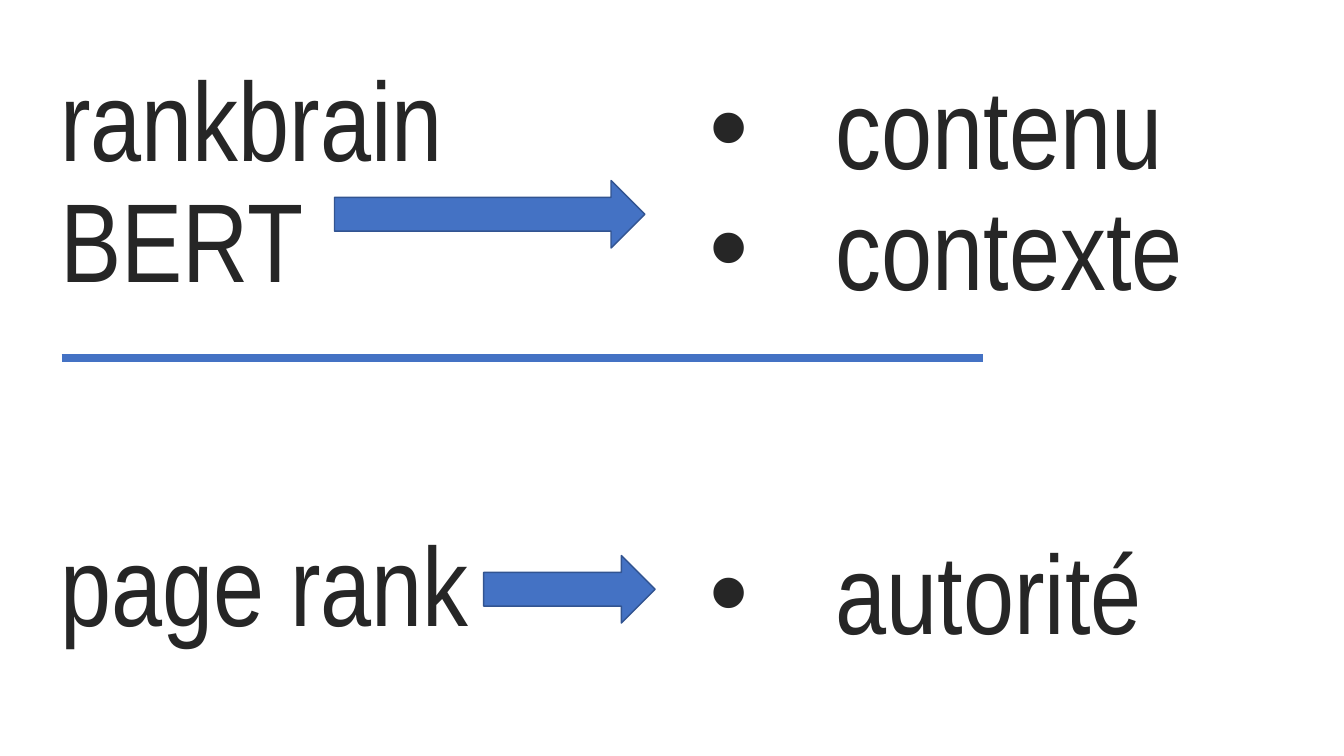
import dataclasses

import lxml.etree
import pptx
import pptx.dml.color
import pptx.enum.shapes
import pptx.enum.text
import pptx.oxml.ns
import pptx.util

Cm = pptx.util.Cm
Pt = pptx.util.Pt
qn = pptx.oxml.ns.qn


@dataclasses.dataclass(frozen=True)
class Theme:
    font: str = "Arial Narrow"
    text_size: int = 80
    text: pptx.dml.color.RGBColor = pptx.dml.color.RGBColor(0x26, 0x26, 0x26)
    accent: pptx.dml.color.RGBColor = pptx.dml.color.RGBColor(0x44, 0x72, 0xC4)
    outline: pptx.dml.color.RGBColor = pptx.dml.color.RGBColor(0x32, 0x54, 0x91)


theme = Theme()
presentation = pptx.Presentation()
presentation.slide_width = Cm(33.87)
presentation.slide_height = Cm(19.05)
slide = presentation.slides.add_slide(presentation.slide_layouts[6])


def add_text(text, left, top, width, height=2.95, bulleted=False):
    """Add a vertically centred text box, one paragraph per line of text."""
    box = slide.shapes.add_textbox(Cm(left), Cm(top), Cm(width), Cm(height))
    frame = box.text_frame
    frame.word_wrap = True
    frame.vertical_anchor = pptx.enum.text.MSO_ANCHOR.MIDDLE
    frame.text = text
    for paragraph in frame.paragraphs:
        if bulleted:
            properties = paragraph._p.get_or_add_pPr()
            properties.set("marL", str(Cm(3.18)))
            properties.set("indent", str(-Cm(3.18)))
            lxml.etree.SubElement(properties, qn("a:buFont"), typeface="Arial")
            lxml.etree.SubElement(properties, qn("a:buChar"), char="•")
        paragraph.line_spacing = 0.9
        for run in paragraph.runs:
            run.font.name = theme.font
            run.font.size = Pt(theme.text_size)
            run.font.color.rgb = theme.text


# Algorithms on the left, what they measure on the right
add_text("rankbrain\nBERT", left=1.27, top=3.2, width=26.16)
add_text("page rank", left=1.27, top=13.39, width=26.16)
add_text("contenu\ncontexte", left=17.63, top=3.4, width=14.99, bulleted=True)
add_text("autorité", left=17.63, top=13.61, width=12.12, bulleted=True)

divider = slide.shapes.add_connector(
    pptx.enum.shapes.MSO_CONNECTOR.STRAIGHT, Cm(1.55), Cm(9.02), Cm(24.77), Cm(9.02)
)
divider.line.color.rgb = theme.accent
divider.line.width = Pt(6)
lxml.etree.SubElement(divider._element.spPr, qn("a:effectLst"))

for left, top, width in [(8.43, 4.55, 7.82), (12.19, 14, 4.32)]:
    arrow = slide.shapes.add_shape(
        pptx.enum.shapes.MSO_SHAPE.RIGHT_ARROW, Cm(left), Cm(top), Cm(width), Cm(1.7)
    )
    arrow.shadow.inherit = False
    arrow.fill.solid()
    arrow.fill.fore_color.rgb = theme.accent
    arrow.line.color.rgb = theme.outline
    arrow.line.width = Pt(1)

presentation.save("out.pptx")
